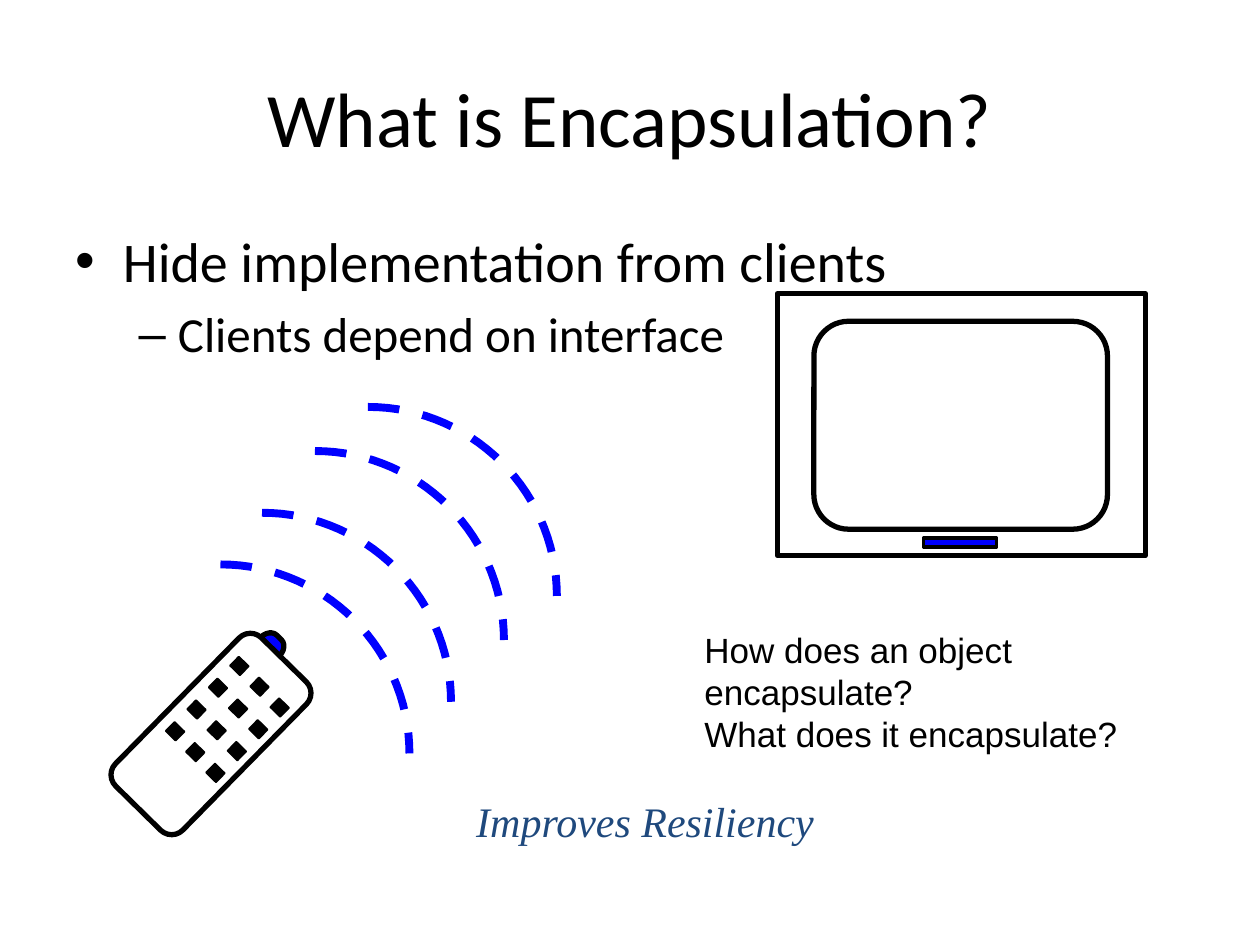
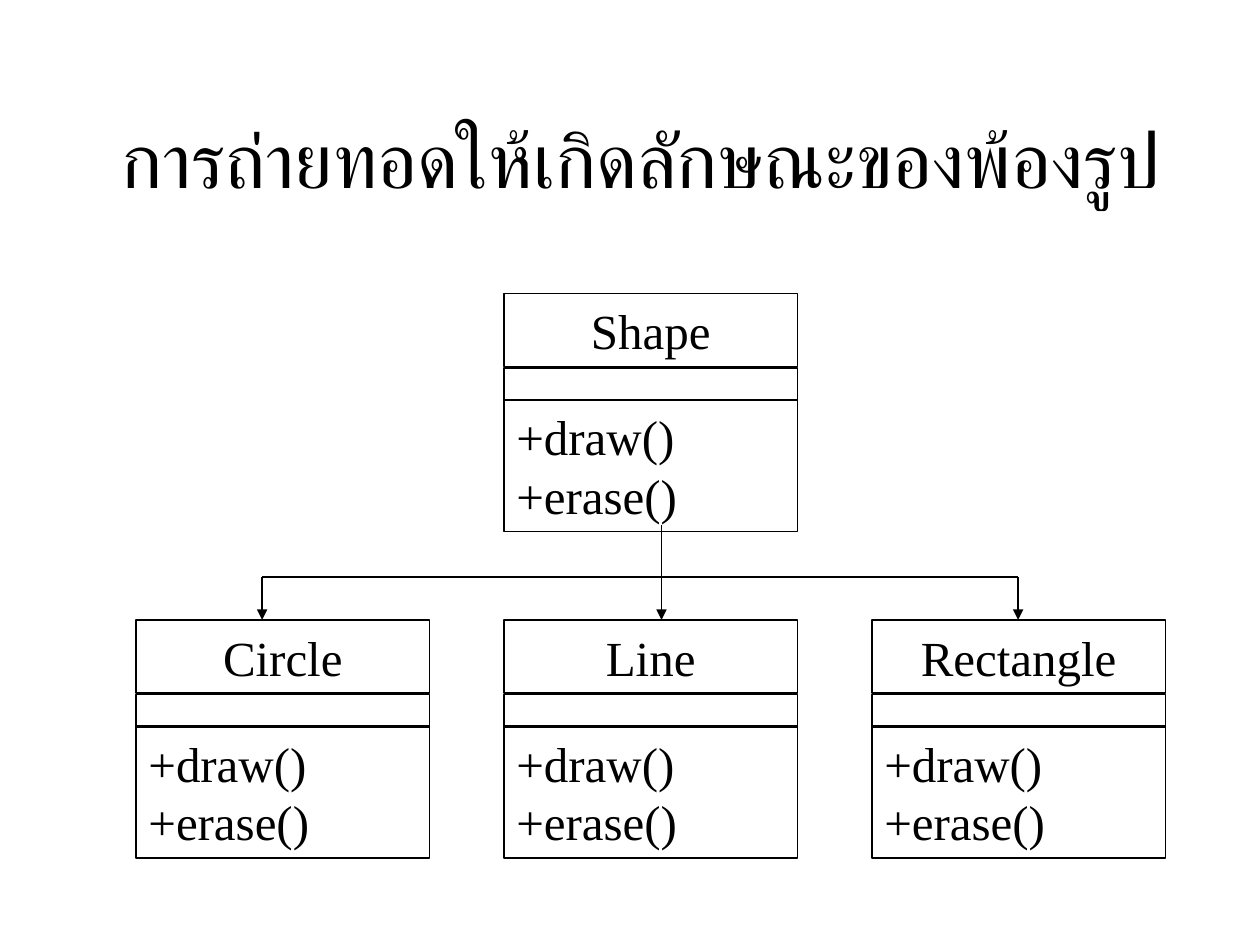
"""Build two slides: encapsulation shown by a remote control, and a shape class hierarchy."""
from dataclasses import dataclass
from itertools import product
from math import cos, pi, sin

from lxml.etree import SubElement
from pptx import Presentation
from pptx.dml.color import RGBColor
from pptx.enum.dml import MSO_LINE_DASH_STYLE as Dash
from pptx.enum.shapes import MSO_CONNECTOR as Connector, MSO_SHAPE as Preset
from pptx.enum.text import MSO_ANCHOR as Anchor, MSO_AUTO_SIZE as AutoSize, PP_ALIGN as Align
from pptx.oxml.ns import qn
from pptx.util import Inches, Pt


@dataclass(frozen=True)
class Theme:
    black: RGBColor = RGBColor(0, 0, 0)
    signal: RGBColor = RGBColor(0, 0, 255)
    accent: RGBColor = RGBColor(0x1F, 0x49, 0x7D)
    heading: str = "Calibri"
    serif: str = "Times New Roman"
    sans: str = "Arial"
    title_size: int = 44
    body_sizes: tuple = (32, 28)
    class_size: int = 28
    motto_size: int = 24
    question_size: int = 20
    thin: float = 0.75
    thick: float = 3
    wave: float = 4.5


THEME = Theme()
SLIDE_SIZE = (10, 7.5)

ENCAPSULATION = {
    "title": "What is Encapsulation?",
    "title_box": (0.5, 0.3, 9, 1.25),
    "body": ["Hide implementation from clients", "Clients depend on interface"],
    "body_box": (0.5, 1.75, 9, 4.95),
    "motto": ["Improves Resiliency"],
    "motto_box": (2.83, 6.25, 4.58, 0.52),
    "questions": ["How does an object encapsulate?", "What does it encapsulate?"],
    "questions_box": (5.47, 4.93, 4.15, 0.78),
}
INHERITANCE = {
    "title": "การถ่ายทอดให้เกิดลักษณะของพ้องรูป",
    "title_box": (0.5, 0.5, 9.17, 1.5),
    "parent": "Shape",
    "children": ["Circle", "Line", "Rectangle"],
    "methods": ["+draw()", "+erase()"],
}

WAVE_STARTS = [(1.75, 4.48), (2.08, 4.07), (2.5, 3.58), (2.92, 3.23)]
WAVE_RADIUS, WAVE_STEPS = 1.5, 30

REMOTE_ANGLE = 314.5
KEY_ORIGIN, KEY_SIZE = (1.85, 5.23), (0.1, 0.11)
KEY_ROWS, KEY_COLUMNS = 4, 3
KEY_ACROSS, KEY_DOWN = (0.16, 0.165), (-0.17, 0.173)

CLASS_LEFT, CLASS_PITCH, CLASS_WIDTH = 1.08, 2.92, 2.33
PARENT_TOP, CHILD_TOP = 2.33, 4.92
NAME_ROW, FIELD_ROW, METHOD_ROW = (0, 0.58), (0.59, 0.26), (0.84, 1.05)
BUS_TOP, TRUNK_TOP = 4.58, 4.17
BRANCHES = (2.08, 5.25, 8.08)


def box(left, top, width, height):
    """Convert a box in inches to slide units."""
    return [Inches(length) for length in (left, top, width, height)]


def write(frame, lines, font, size, color=THEME.black, align=None, italic=None):
    """Fill a text frame with evenly formatted paragraphs."""
    frame.text = "\n".join(lines)
    for paragraph in frame.paragraphs:
        paragraph.alignment = align
        paragraph.font.name, paragraph.font.size = font, Pt(size)
        paragraph.font.color.rgb, paragraph.font.italic = color, italic


def place(placeholder, bounds):
    """Move a placeholder to a box in inches."""
    placeholder.left, placeholder.top, placeholder.width, placeholder.height = box(*bounds)


def new_slide(presentation, layout, content):
    """Add a slide with the shared title style."""
    slide = presentation.slides.add_slide(presentation.slide_layouts.get_by_name(layout))
    title = slide.shapes.title
    place(title, content["title_box"])
    title.text_frame.vertical_anchor = Anchor.MIDDLE
    write(title.text_frame, [content["title"]], THEME.heading, THEME.title_size, align=Align.CENTER)
    return slide


def style(shape, weight, fill=None, line=THEME.black):
    """Apply outline and fill without a shadow."""
    shape.shadow.inherit = False
    shape.line.color.rgb, shape.line.width = line, Pt(weight)
    if fill is None:
        shape.fill.background()
    else:
        shape.fill.solid()
        shape.fill.fore_color.rgb = fill


def add_preset(shapes, preset, bounds, weight, fill=None, angle=0, corner=None):
    """Add a styled preset shape."""
    shape = shapes.add_shape(preset, *box(*bounds))
    shape.rotation = angle
    if corner is not None:
        shape.adjustments[0] = corner
    style(shape, weight, fill)
    return shape


def add_text(slide, bounds, lines, font, size, **options):
    """Add a wrapping text box."""
    frame = slide.shapes.add_textbox(*box(*bounds)).text_frame
    frame.word_wrap, frame.auto_size = True, AutoSize.SHAPE_TO_FIT_TEXT
    frame.margin_left = frame.margin_right = Inches(0.12)
    frame.margin_top = frame.margin_bottom = Inches(0.06)
    write(frame, lines, font, size, **options)


def add_wave(slide, left, top):
    """Draw a dashed quarter circle of the remote's signal."""
    angles = [step * pi / 2 / WAVE_STEPS for step in range(WAVE_STEPS + 1)]
    points = [(Inches(left + WAVE_RADIUS * sin(angle)), Inches(top + WAVE_RADIUS * (1 - cos(angle))))
              for angle in angles]
    builder = slide.shapes.build_freeform(*points[0])
    builder.add_line_segments(points[1:], close=False)
    wave = builder.convert_to_shape()
    style(wave, THEME.wave, line=THEME.signal)
    wave.line.dash_style = Dash.DASH


def add_television(slide):
    """Draw the television as one group."""
    shapes = slide.shapes.add_group_shape().shapes
    add_preset(shapes, Preset.RECTANGLE, (6.17, 2.33, 2.92, 2.08), THEME.thick)
    add_preset(shapes, Preset.ROUNDED_RECTANGLE, (6.46, 2.55, 2.33, 1.65), THEME.thick, corner=0.167)
    add_preset(shapes, Preset.RECTANGLE, (7.33, 4.27, 0.58, 0.07), 2, THEME.signal)


def add_remote(slide):
    """Draw the tilted remote and its grid of keys as one group."""
    shapes = slide.shapes.add_group_shape().shapes
    add_preset(shapes, Preset.RIGHT_BRACKET, (2.13, 4.99, 0.1, 0.21), THEME.thick, THEME.signal,
               REMOTE_ANGLE, 0.781)
    add_preset(shapes, Preset.ROUNDED_RECTANGLE, (0.85, 5.45, 1.65, 0.75), THEME.thick,
               angle=REMOTE_ANGLE, corner=0.167)
    for row, column in product(range(KEY_ROWS), range(KEY_COLUMNS)):
        left, top = (start + column * across + row * down
                     for start, across, down in zip(KEY_ORIGIN, KEY_ACROSS, KEY_DOWN))
        add_preset(shapes, Preset.RECTANGLE, (left, top, *KEY_SIZE), 1, THEME.black, REMOTE_ANGLE)


def add_class(slide, name, column, top):
    """Draw a class box with name, field and method compartments."""
    shapes = slide.shapes.add_group_shape().shapes
    left = CLASS_LEFT + column * CLASS_PITCH
    compartments = [(NAME_ROW, [name], Align.CENTER), (FIELD_ROW, [], None),
                    (METHOD_ROW, INHERITANCE["methods"], Align.LEFT)]
    for (offset, height), lines, align in compartments:
        shape = add_preset(shapes, Preset.RECTANGLE, (left, top + offset, CLASS_WIDTH, height), THEME.thin)
        if lines:
            write(shape.text_frame, lines, THEME.serif, THEME.class_size, align=align)


def add_line(slide, start, end, arrow=False):
    """Draw a thin line, with an optional arrowhead at its end."""
    line = slide.shapes.add_connector(Connector.STRAIGHT, *(Inches(length) for length in (*start, *end)))
    line.line.color.rgb, line.line.width = THEME.black, Pt(THEME.thin)
    if arrow:
        SubElement(line.line._get_or_add_ln(), qn("a:tailEnd"), type="triangle")
    SubElement(line._element.spPr, qn("a:effectLst"))


def build_encapsulation(presentation):
    """Build the remote control slide."""
    content = ENCAPSULATION
    slide = new_slide(presentation, "Title and Content", content)
    for start in WAVE_STARTS:
        add_wave(slide, *start)
    add_television(slide)
    add_remote(slide)
    add_text(slide, content["motto_box"], content["motto"], THEME.serif, THEME.motto_size,
             color=THEME.accent, align=Align.CENTER, italic=True)
    body = slide.placeholders[1]
    place(body, content["body_box"])
    write(body.text_frame, content["body"], THEME.heading, THEME.body_sizes[0])
    for level, paragraph in enumerate(body.text_frame.paragraphs):
        paragraph.level, paragraph.font.size = level, Pt(THEME.body_sizes[level])
    add_text(slide, content["questions_box"], content["questions"], THEME.sans, THEME.question_size)


def build_inheritance(presentation):
    """Build the class hierarchy slide."""
    slide = new_slide(presentation, "Title Only", INHERITANCE)
    add_class(slide, INHERITANCE["parent"], 1, PARENT_TOP)
    for column, name in enumerate(INHERITANCE["children"]):
        add_class(slide, name, column, CHILD_TOP)
    add_line(slide, (BRANCHES[0], BUS_TOP), (BRANCHES[-1], BUS_TOP))
    for branch, top in zip(BRANCHES, (BUS_TOP, TRUNK_TOP, BUS_TOP)):
        add_line(slide, (branch, top), (branch, CHILD_TOP), arrow=True)


presentation = Presentation()
presentation.slide_width, presentation.slide_height = (Inches(length) for length in SLIDE_SIZE)
build_encapsulation(presentation)
build_inheritance(presentation)
presentation.save("out.pptx")
